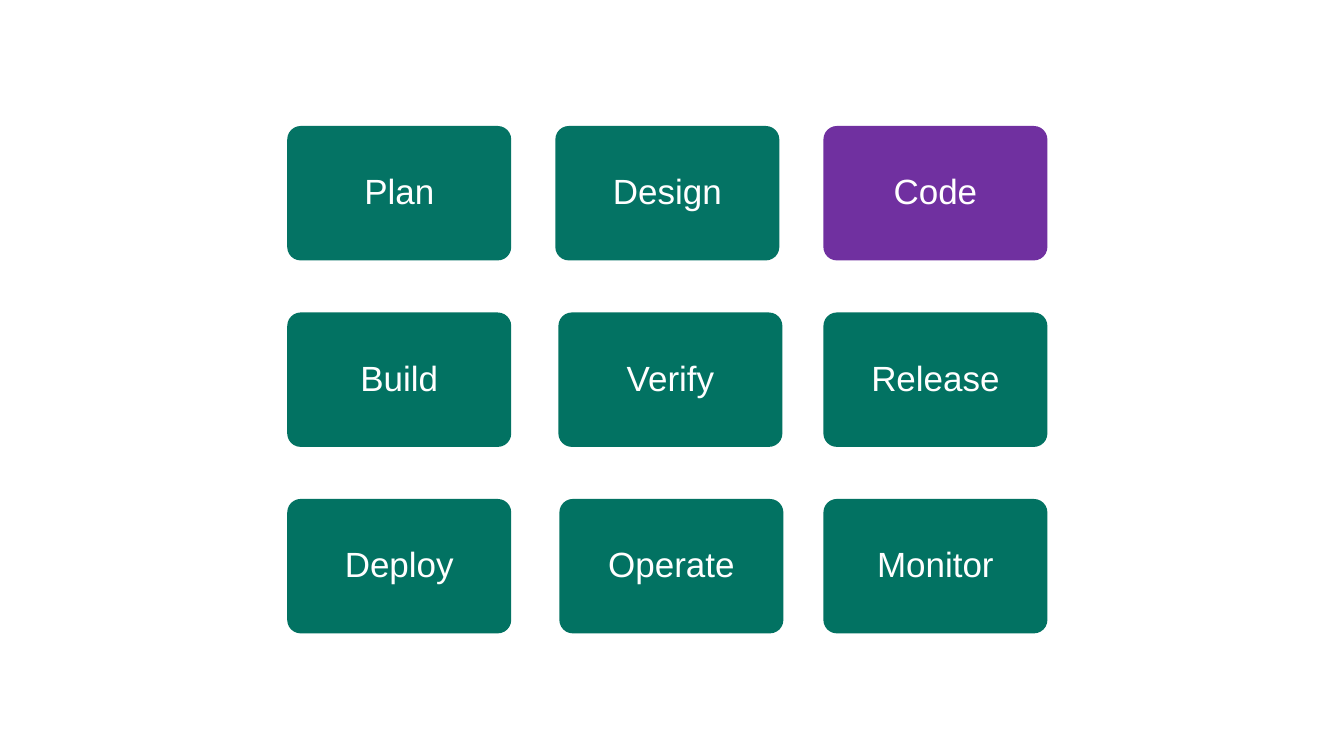
from pptx import Presentation
from pptx.dml.color import RGBColor
from pptx.enum.shapes import MSO_SHAPE
from pptx.enum.text import MSO_ANCHOR, PP_ALIGN
from pptx.util import Pt

COLORS = {"teal": "047364", "green": "027262", "purple": "7030A0", "white": "FFFFFF"}
LEFT, TOP = 205.2, 90
WIDTH, HEIGHT = 160, 96
STEP_X, STEP_Y = 191.5, 133.2
ROWS = [
    (0, [("Plan", "teal"), ("Design", "teal"), ("Code", "purple")]),
    (2.2, [("Build", "green"), ("Verify", "green"), ("Release", "green")]),
    (2.9, [("Deploy", "green"), ("Operate", "green"), ("Monitor", "green")]),
]


def color(name):
    return RGBColor.from_string(COLORS[name])


def write(frame, text, size=25, font="Arial", ink="white", align=PP_ALIGN.CENTER, inset=9.9):
    frame.word_wrap = True
    frame.vertical_anchor = MSO_ANCHOR.MIDDLE
    frame.margin_left = frame.margin_right = Pt(inset)
    frame.margin_top = frame.margin_bottom = Pt(inset)
    para = frame.paragraphs[0]
    para.alignment = align
    para.line_spacing = 0.9
    run = para.add_run()
    run.text = text
    run.font.size = Pt(size)
    run.font.name = font
    run.font.color.rgb = color(ink)


def add_card(slide, x, y, text, fill):
    card = slide.shapes.add_shape(
        MSO_SHAPE.ROUNDED_RECTANGLE, Pt(x), Pt(y), Pt(WIDTH), Pt(HEIGHT)
    )
    card.adjustments[0] = 0.1
    card.shadow.inherit = False
    card.fill.solid()
    card.fill.fore_color.rgb = color(fill)
    card.line.fill.background()
    write(card.text_frame, text)


def main():
    """Build a slide with a three by three grid of delivery stages."""
    deck = Presentation()
    deck.slide_width, deck.slide_height = Pt(960), Pt(540)
    slide = deck.slides.add_slide(deck.slide_layouts[6])
    for row, (shift, cards) in enumerate(ROWS):
        for col, (text, fill) in enumerate(cards):
            nudge = shift if col == 1 else 0
            add_card(slide, LEFT + col * STEP_X + nudge, TOP + row * STEP_Y, text, fill)
    deck.save("out.pptx")


if __name__ == "__main__":
    main()
